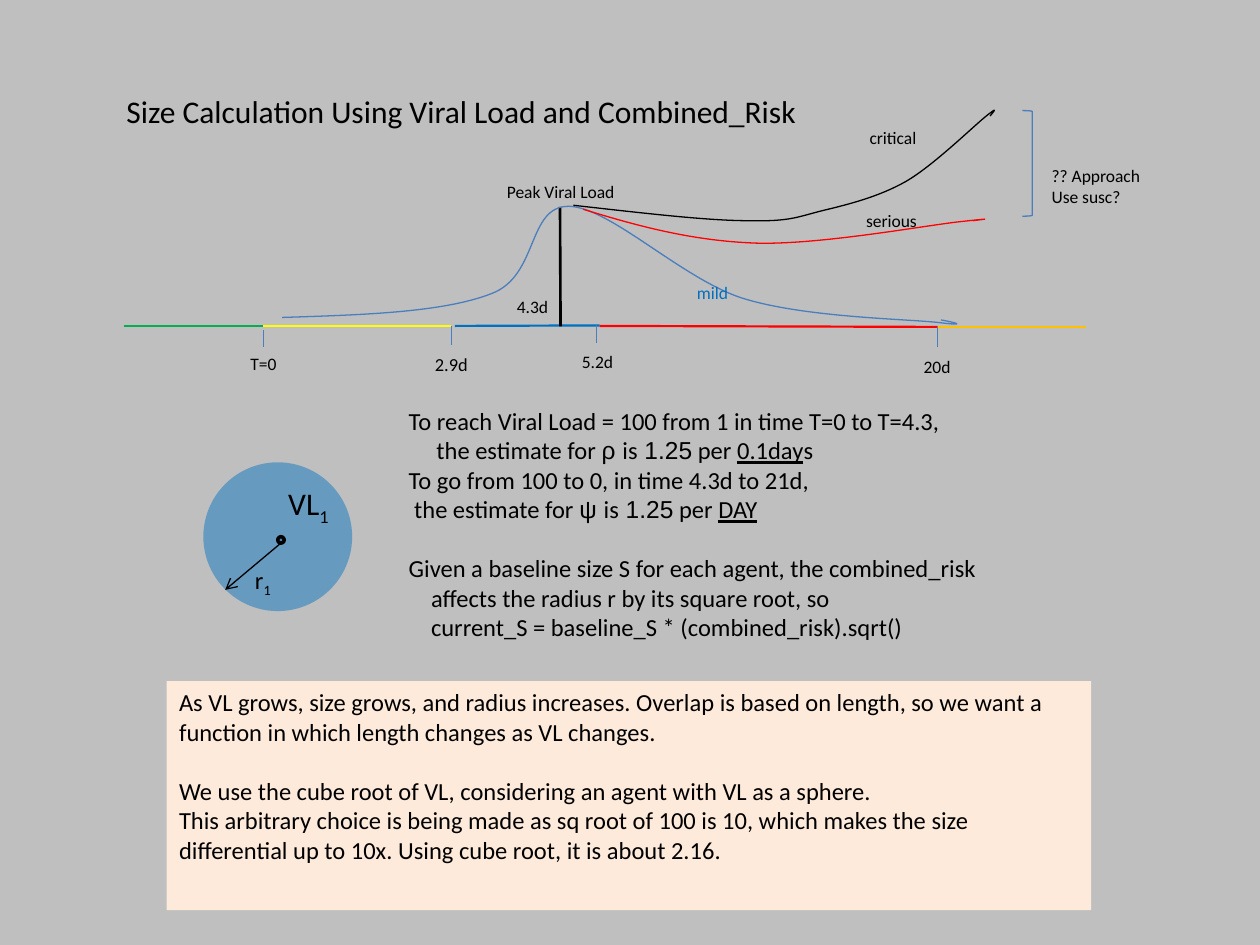
from lxml import etree
from pptx import Presentation
from pptx.dml.color import RGBColor
from pptx.enum.shapes import MSO_CONNECTOR, MSO_SHAPE
from pptx.enum.text import MSO_AUTO_SIZE
from pptx.oxml.ns import qn
from pptx.util import Cm, Pt

BLACK = RGBColor(0x00, 0x00, 0x00)
GREY = RGBColor(0xBF, 0xBF, 0xBF)
GREEN = RGBColor(0x00, 0xB0, 0x50)
YELLOW = RGBColor(0xFF, 0xFF, 0x00)
BLUE = RGBColor(0x00, 0x70, 0xC0)
RED = RGBColor(0xFF, 0x00, 0x00)
ORANGE = RGBColor(0xFF, 0xC0, 0x00)
STEEL = RGBColor(0x4B, 0x7E, 0xBC)
DOT = RGBColor(0x4F, 0x81, 0xBD)
PEACH = RGBColor(0xFD, 0xEA, 0xDA)

prs = Presentation()
prs.slide_width, prs.slide_height = Cm(25.4), Cm(19.05)
s = prs.slides.add_slide(prs.slide_layouts[6])
s.background.fill.solid()
s.background.fill.fore_color.rgb = GREY


def add_text(x, y, w, h, paras, size=10, color=BLACK, wrap=False):
    """Each paragraph is (indent in cm, space before in pt, runs);
    each run is (text, style), the style being "", "arial", "u" or "sub"."""
    sp = s.shapes.add_textbox(Cm(x), Cm(y), Cm(w), Cm(h))
    tf = sp.text_frame
    tf.word_wrap = wrap
    tf.auto_size = MSO_AUTO_SIZE.NONE if wrap else MSO_AUTO_SIZE.SHAPE_TO_FIT_TEXT
    for i, (indent, before, runs) in enumerate(paras):
        p = tf.add_paragraph() if i else tf.paragraphs[0]
        if before:
            p.space_before = Pt(before)
        if indent:
            pPr = p._p.get_or_add_pPr()
            pPr.set("marL", str(Cm(indent)))
            pPr.set("indent", "0")
        for text, style in runs:
            r = p.add_run()
            r.text = text
            r.font.size = Pt(size)
            r.font.name = "Arial" if style == "arial" else "Calibri"
            r.font.color.rgb = color
            if style == "u":
                r.font.underline = True
            if style == "sub":
                r._r.get_or_add_rPr().set("baseline", "-25000")
    return sp


def add_line(x1, y1, x2, y2, color, width):
    ln = s.shapes.add_connector(MSO_CONNECTOR.STRAIGHT, Cm(x1), Cm(y1), Cm(x2), Cm(y2))
    ln.line.color.rgb = color
    ln.line.width = Pt(width)
    etree.SubElement(ln._element.spPr, qn("a:effectLst"))
    return ln


# Title
add_text(2.3, 1.73, 14.17, 1.02,
         [(0, 0, [("Size Calculation Using Viral Load and Combined_Risk", "")])], 18)

# Time axis, peak and ticks
for x1, y1, x2, y2, color in [
    (2.49, 6.57, 5.31, 6.57, GREEN),
    (5.31, 6.57, 9.09, 6.57, YELLOW),
    (9.17, 6.57, 12.09, 6.56, BLUE),
    (12.09, 6.57, 18.9, 6.59, RED),
    (18.9, 6.59, 21.89, 6.59, ORANGE),
]:
    add_line(x1, y1, x2, y2, color, 1.25)
add_line(11.29, 4.17, 11.3, 6.58, BLACK, 1.5)
for x, top, bottom in [(5.31, 6.65, 6.99), (9.1, 6.58, 6.96),
                       (12.03, 6.53, 6.91), (18.9, 6.6, 6.99)]:
    add_line(x, top, x, bottom, STEEL, 0.75)

# Viral load curves: box (left, top, right, bottom), then a start point
# and cubic segments of three points each
mild = [(5.69, 6.4), (7.32, 6.35), (8.94, 6.3), (9.91, 5.92),
        (10.87, 5.56), (10.62, 4.14), (11.48, 4.16),
        (12.32, 4.19), (13.77, 5.64), (14.99, 6.02),
        (16.23, 6.4), (18.24, 6.43), (18.9, 6.5),
        (19.56, 6.58), (19.25, 6.5), (18.97, 6.45)]
serious = [(11.76, 4.22), (12.83, 4.55), (13.92, 4.85), (15.19, 4.9),
           (16.46, 4.95), (18.62, 4.55), (19.35, 4.47),
           (20.09, 4.39), (19.86, 4.42), (19.61, 4.45)]
critical = [(11.56, 4.14), (12.9, 4.29), (14.25, 4.45), (15.09, 4.45),
            (15.95, 4.47), (16.08, 4.37), (16.61, 4.24),
            (17.15, 4.11), (17.73, 3.96), (18.26, 3.66),
            (18.8, 3.35), (19.58, 2.59), (19.86, 2.36),
            (20.14, 2.13), (20.04, 2.24), (19.96, 2.34)]
for (left, top, right, bottom), pts, color in [
    ((5.69, 4.16, 19.3, 6.53), mild, STEEL),
    ((11.76, 4.22, 19.86, 4.9), serious, RED),
    ((11.56, 2.24, 20.04, 4.45), critical, BLACK),
]:
    fb = s.shapes.build_freeform(Cm(left), Cm(top))
    fb.add_line_segments([(Cm(right), Cm(bottom))], close=False)
    sp = fb.convert_to_shape()
    sp.shadow.inherit = False
    sp.fill.background()
    sp.line.color.rgb = color
    sp.line.width = Pt(0.75)
    outline = next(sp._element.iter(qn("a:path")))
    for node in list(outline):
        outline.remove(node)
    for i, (x, y) in enumerate(pts):
        if i == 0:
            step = etree.SubElement(outline, qn("a:moveTo"))
        elif i % 3 == 1:
            step = etree.SubElement(outline, qn("a:cubicBezTo"))
        etree.SubElement(step, qn("a:pt"), x=str(Cm(x - left)), y=str(Cm(y - top)))

# Chart labels
for x, y, w, h, lines, size, color in [
    (4.8, 6.99, 1.04, 0.69, ["T=0"], 10, BLACK),
    (8.52, 6.99, 1.19, 0.71, ["2.9d"], 10.5, BLACK),
    (11.48, 6.96, 1.14, 0.69, ["5.2d"], 10, BLACK),
    (18.37, 7.05, 1.07, 0.69, ["20d"], 10, BLACK),
    (9.97, 3.53, 2.72, 0.69, ["Peak Viral Load"], 10, BLACK),
    (10.17, 5.84, 1.14, 0.69, ["4.3d"], 10, BLACK),
    (13.8, 5.57, 1.14, 0.69, ["mild"], 10, BLUE),
    (17.28, 2.44, 1.47, 0.69, ["critical"], 10, BLACK),
    (17.21, 4.11, 1.55, 0.69, ["serious"], 10, BLACK),
    (20.95, 3.2, 2.31, 1.12, ["?? Approach", "Use susc?"], 10, BLACK),
]:
    add_text(x, y, w, h, [(0, 0, [(line, "")]) for line in lines], size, color)

# Bracket, agent circle and its centre
for kind, x, y, w, h, fill, line, width in [
    (MSO_SHAPE.RIGHT_BRACKET, 20.61, 2.23, 0.2, 2.13, None, STEEL, 0.75),
    (MSO_SHAPE.OVAL, 4.1, 9.32, 3, 3, BLUE, None, 0),
    (MSO_SHAPE.OVAL, 5.6, 10.82, 0.13, 0.13, DOT, BLACK, 2),
]:
    sp = s.shapes.add_shape(kind, Cm(x), Cm(y), Cm(w), Cm(h))
    sp.shadow.inherit = False
    if fill is None:
        sp.fill.background()
    else:
        sp.fill.solid()
        sp.fill.fore_color.rgb = fill
    if line is None:
        sp.line.fill.background()
    else:
        sp.line.color.rgb = line
        sp.line.width = Pt(width)
    if fill == BLUE:
        clr = sp._element.spPr.find(qn("a:solidFill"))[0]
        etree.SubElement(clr, qn("a:alpha"), val="46000")

# Radius arrow and circle labels
radius = add_line(5.72, 10.9, 4.54, 11.89, BLACK, 0.75)
etree.SubElement(radius.line._get_or_add_ln(), qn("a:tailEnd"), type="arrow")
add_text(4.89, 11.27, 0.86, 0.86, [(0, 0, [("r", ""), ("1", "sub")])], 14)
add_text(5.56, 9.64, 1.37, 1.02, [(0, 0, [("VL", ""), ("1", "sub")])], 18)

# Growth and decay estimates
LINE = 17
add_text(7.99, 8.06, 12.07, 5.05, [
    (0, 0, [("To reach Viral Load = 100 from 1 in time T=0 to T=4.3,", "")]),
    (0.56, 0, [("the estimate for ", ""), ("ρ ", "arial"), ("is", ""), (" 1.25", "arial"),
               (" per ", ""), ("0.1day", "u"), ("s", "")]),
    (0, 0, [("To go from 100 to 0, in time 4.3d to 21d,", "")]),
    (0.11, 0, [("the estimate for ", ""), ("ψ ", "arial"), ("is", ""), (" 1.25", "arial"),
               (" per ", ""), ("DAY", "u")]),
    (0, LINE, [("Given a baseline size S for each agent, the combined_risk", "")]),
    (0.45, 0, [("affects the radius r by its square root, so", "")]),
    (0.45, 0, [("current_S = baseline_S * (combined_risk).sqrt()", "")]),
], 14)

# Note on the cube root
note = add_text(3.36, 13.73, 18.64, 4.62, [
    (0, 0, [("As VL grows, size grows, and radius increases. Overlap is based on length, "
             "so we want a function in which length changes as VL changes. ", "")]),
    (0, LINE, [("We use the cube root of VL, considering an agent with VL as a sphere.", "")]),
    (0, 0, [("This arbitrary choice is being made as sq root of 100 is 10, which makes the "
             "size differential up to 10x. Using cube root, it is about 2.16.", "")]),
], 14, wrap=True)
note.fill.solid()
note.fill.fore_color.rgb = PEACH

prs.save("out.pptx")
